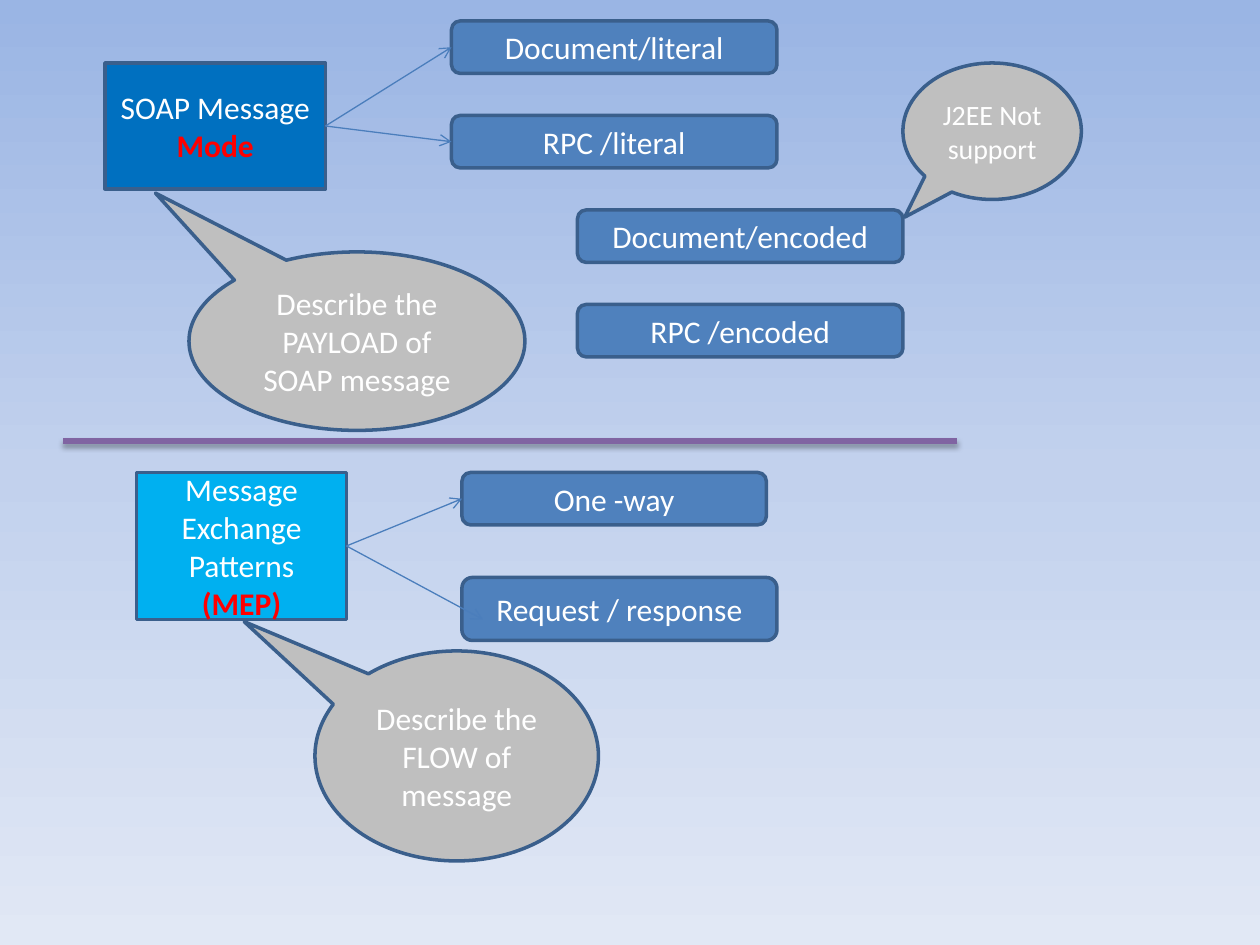
from copy import deepcopy

from lxml import etree
from pptx import Presentation
from pptx.dml.color import RGBColor
from pptx.enum.shapes import MSO_CONNECTOR, MSO_SHAPE
from pptx.enum.text import MSO_ANCHOR, PP_ALIGN
from pptx.oxml.ns import qn
from pptx.util import Pt

RECT = MSO_SHAPE.RECTANGLE
ROUND = MSO_SHAPE.ROUNDED_RECTANGLE
BUBBLE = MSO_SHAPE.OVAL_CALLOUT
LINE = MSO_CONNECTOR.STRAIGHT
MIDDLE = MSO_ANCHOR.MIDDLE
CENTER = PP_ALIGN.CENTER

WHITE = RGBColor(0xFF, 0xFF, 0xFF)
RED = RGBColor(0xFF, 0x00, 0x00)
BLUE = RGBColor(0x4F, 0x81, 0xBD)
DEEP = RGBColor(0x00, 0x70, 0xC0)
SKY = RGBColor(0x00, 0xB0, 0xF0)
GRAY = RGBColor(0xBF, 0xBF, 0xBF)
EDGE = RGBColor(0x3A, 0x5F, 0x8C)
ARROW = RGBColor(0x4B, 0x7E, 0xBC)
PURPLE = RGBColor(0x80, 0x64, 0xA2)
SHADES = [
    RGBColor(0x9A, 0xB5, 0xE4),
    RGBColor(0xC2, 0xD1, 0xED),
    RGBColor(0xE1, 0xE8, 0xF5),
]

prs = Presentation()
prs.slide_width, prs.slide_height = Pt(720), Pt(540)
slide = prs.slides.add_slide(prs.slide_layouts[6])

back = slide.background.fill
back.gradient()
back.gradient_angle = 270
stops = slide.element.find(".//" + qn("a:gsLst"))
stops.insert(1, deepcopy(stops[0]))
for stop, shade, place in zip(back.gradient_stops, SHADES, (0, 0.5, 1)):
    stop.color.rgb = shade
    stop.position = place


def add_box(kind, area, fill, text, accent="", size=18):
    box = slide.shapes.add_shape(kind, *[Pt(n) for n in area])
    box.shadow.inherit = False
    box.fill.solid()
    box.fill.fore_color.rgb = fill
    box.line.color.rgb = EDGE
    box.line.width = Pt(2)
    frame = box.text_frame
    frame.text = text
    frame.word_wrap = True
    frame.vertical_anchor = MIDDLE
    para = frame.paragraphs[0]
    para.alignment = CENTER
    if accent:
        para.add_run().text = accent
    for run in para.runs:
        run.font.name = "Calibri"
        run.font.size = Pt(size)
        run.font.color.rgb = WHITE
    if accent:
        run.font.color.rgb = RED
        run.font.bold = True
    return box


def add_line(start, end, color, width):
    line = slide.shapes.add_connector(LINE, *[Pt(n) for n in start + end])
    line.line.color.rgb = color
    line.line.width = Pt(width)
    effects = etree.SubElement(line.element.spPr, qn("a:effectLst"))
    return line, effects


mode = add_box(RECT, (60, 36, 126, 72), DEEP, "SOAP Message ", "Mode")
styles = []
labels = ["Document/literal", "RPC /literal", "Document/encoded", "RPC /encoded"]
for i, label in enumerate(labels):
    left = 258 if i < 2 else 330
    styles.append(add_box(ROUND, (left, 12 + 54 * i, 186, 30), BLUE, label))

mep = add_box(RECT, (78, 270, 120, 84), SKY, "Message Exchange Patterns ", "(MEP)")
single = add_box(ROUND, (264, 270, 174, 30), BLUE, "One -way")
add_box(ROUND, (264, 330, 180, 36), BLUE, "Request / response")

bubbles = [
    ((108, 144, 192, 102), (-0.6, -0.83), "Describe the PAYLOAD of SOAP message", 18),
    ((180, 372, 162, 120), (-0.75, -0.64), "Describe the FLOW of message", 18),
    ((516, 36, 102, 78), (-0.49, 0.63), "J2EE Not support", 16),
]
for area, tip, text, size in bubbles:
    bubble = add_box(BUBBLE, area, GRAY, text, size=size)
    bubble.adjustments[0], bubble.adjustments[1] = tip

links = [(mep, single), (mep, None), (mode, styles[0]), (mode, styles[1])]
for source, target in links:
    arrow, effects = add_line((198, 312), (276, 354), ARROW, 0.75)
    arrow.begin_connect(source, 3)
    if target:
        arrow.end_connect(target, 1)
    etree.SubElement(arrow.line._get_or_add_ln(), qn("a:tailEnd"), type="arrow")

rule, effects = add_line((36, 252), (547, 252), PURPLE, 3)
shadow = etree.SubElement(
    effects, qn("a:outerShdw"),
    blurRad=str(Pt(3.1)), dist=str(Pt(1.8)), dir="5400000", rotWithShape="0",
)
tint = etree.SubElement(shadow, qn("a:srgbClr"), val="000000")
etree.SubElement(tint, qn("a:alpha"), val="35000")

prs.save("out.pptx")
